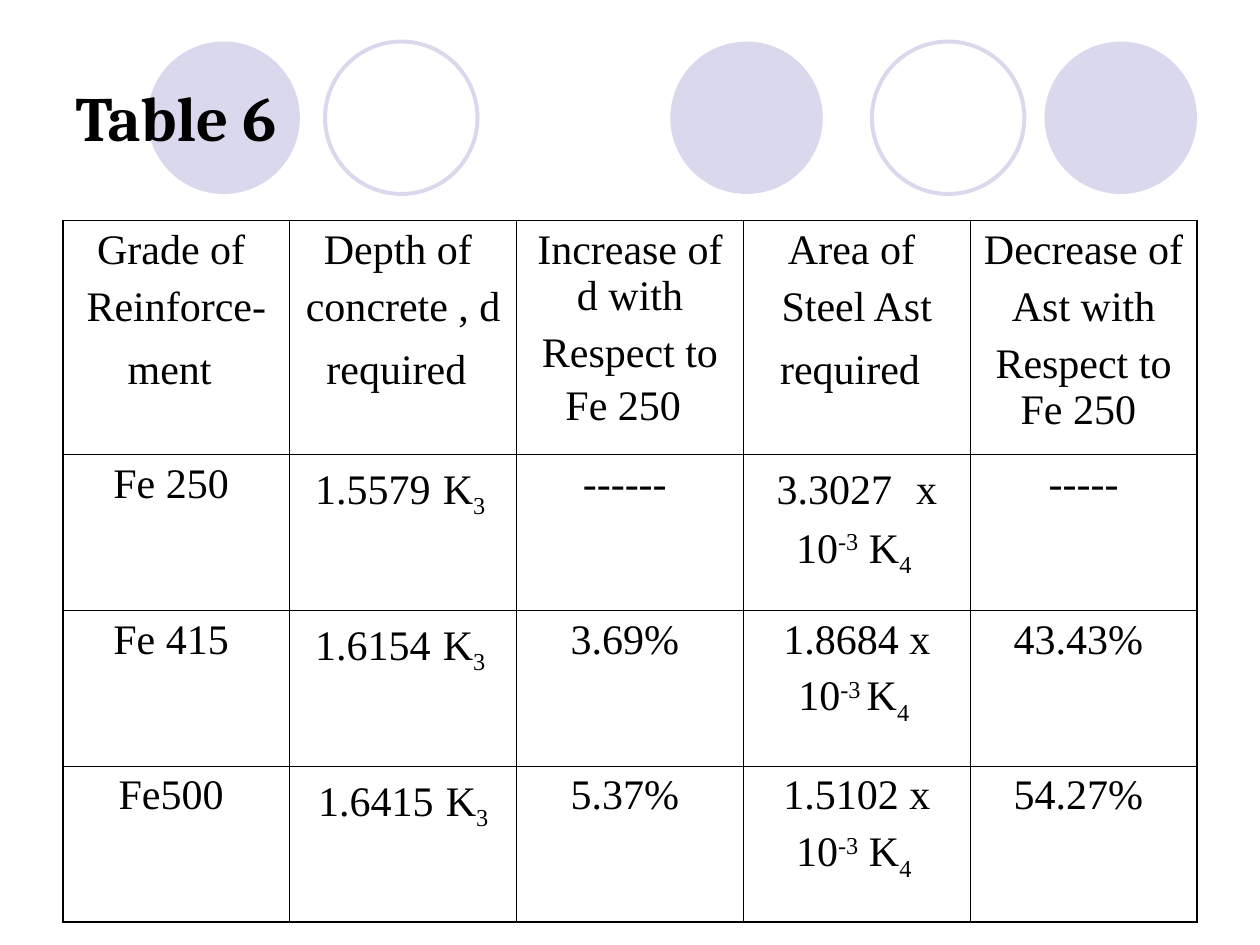
from lxml import etree
from pptx import Presentation
from pptx.dml.color import RGBColor
from pptx.enum import shapes, text
from pptx.oxml import ns
from pptx.util import Inches, Pt

BLACK = RGBColor(0x00, 0x00, 0x00)
LILAC = RGBColor(0xD9, 0xD8, 0xEC)
BODY_FONT = "Times New Roman"
OUTER, INNER = Pt(1.08), Pt(0.45)

# Circles: left edge in inches, filled or outlined
CIRCLES = [(5.32, True), (8.29, True), (1.17, True), (6.92, False), (2.58, False)]

# Spans that differ from the plain cell text
WIDE_SPACE = (" ", {"size": 28})
ARIAL_SPACE = (" ", {"size": 28, "font": "Arial"})
SUB_3 = ("3 ", {"baseline": -25})
SUB_4 = ("4 ", {"baseline": -25})
MINUS_3 = ("-3", {"baseline": 30})

# Each cell is a list of paragraphs, each paragraph a list of spans
HEADER = [
    [["Grade of "], ["Reinforce-"], ["ment", ARIAL_SPACE]],
    [["Depth of "], ["concrete , d"], ["required", ARIAL_SPACE]],
    [["Increase of d with"], ["Respect to Fe 250", ARIAL_SPACE]],
    [["Area of "], ["Steel Ast"], ["required", ARIAL_SPACE]],
    [["Decrease of"], ["Ast with"], ["Respect to Fe 250 "]],
]


def grade_row(grade, depth, increase, area, decrease,
              depth_mark=SUB_3, power=(MINUS_3, " K")):
    return [
        [[grade]],
        [[depth, WIDE_SPACE, "K", depth_mark]],
        [[increase]],
        [area, ["10", *power, SUB_4]],
        [[decrease]],
    ]


ROWS = [
    HEADER,
    grade_row("Fe 250 ", "1.5579", "------ ", ["3.3027", ARIAL_SPACE, " x"], "-----"),
    grade_row("Fe 415 ", "1.6154", "3.69% ", ["1.8684 x"], "43.43% ",
              power=(("-3 ", {"baseline": 30}), "K")),
    grade_row("Fe500 ", "1.6415", "5.37% ", ["1.5102 x"], "54.27% ",
              depth_mark=("3", {"baseline": -25})),
]


def add_span(para, words, size=24, font=BODY_FONT, bold=False, baseline=0):
    span = para.add_run()
    span.text = words
    span.font.size = Pt(size)
    span.font.name = font
    span.font.bold = bold
    span.font.color.rgb = BLACK
    if baseline:
        span.font._element.set("baseline", str(baseline * 1000))


def add_circles(page, top, size):
    for left, filled in CIRCLES:
        circle = page.shapes.add_shape(
            shapes.MSO_SHAPE.OVAL, Inches(left), top, size, size)
        circle.shadow.inherit = False
        if filled:
            circle.fill.solid()
            circle.fill.fore_color.rgb = LILAC
            circle.line.fill.background()
        else:
            circle.fill.background()
            circle.line.color.rgb = LILAC
            circle.line.width = Pt(2.25)


def place_title(page, words, left, top, width, height):
    title = page.shapes.title
    title.left, title.top, title.width, title.height = left, top, width, height
    frame = title.text_frame
    frame.vertical_anchor = text.MSO_ANCHOR.MIDDLE
    para = frame.paragraphs[0]
    para.alignment = text.PP_ALIGN.LEFT
    add_span(para, words, size=36, font="Cambria", bold=True)
    # Bring the title in front of the circles
    title.element.getparent().append(title.element)


def set_borders(cell, widths):
    properties = cell._tc.get_or_add_tcPr()
    for index, (side, width) in enumerate(widths.items()):
        line = etree.Element(ns.qn(f"a:ln{side}"), w=str(int(width)))
        fill = etree.SubElement(line, ns.qn("a:solidFill"))
        etree.SubElement(fill, ns.qn("a:srgbClr"), val=str(BLACK))
        properties.insert(index, line)


def fill_cell(cell, paragraphs):
    cell.fill.background()
    frame = cell.text_frame
    for index, spans in enumerate(paragraphs):
        para = frame.add_paragraph() if index else frame.paragraphs[0]
        para.alignment = text.PP_ALIGN.CENTER
        if index:
            para.space_before = Pt(6)
        for span in spans:
            words, options = (span, {}) if isinstance(span, str) else span
            add_span(para, words, **options)


def add_grade_table(page, left, top, width, height):
    last_row, last_column = len(ROWS) - 1, len(HEADER) - 1
    table = page.shapes.add_table(
        len(ROWS), len(HEADER), left, top, width, height).table
    table.first_row = table.horz_banding = False
    # The header is one and a half times as tall as the other rows
    row_height = int(height / (last_row + 1.5))
    for r, cells in enumerate(ROWS):
        table.rows[r].height = row_height if r else int(row_height * 1.5)
        for c, paragraphs in enumerate(cells):
            cell = table.cell(r, c)
            fill_cell(cell, paragraphs)
            set_borders(cell, {
                "L": INNER if c else OUTER,
                "R": OUTER if c == last_column else INNER,
                "T": INNER if r else OUTER,
                "B": OUTER if r == last_row else INNER,
            })


def main():
    deck = Presentation()
    deck.slide_width, deck.slide_height = Inches(10), Inches(7.5)
    page = deck.slides.add_slide(deck.slide_layouts[5])
    add_circles(page, Inches(0.33), Inches(1.21))
    place_title(page, "Table 6", Inches(0.5), Inches(0.3), Inches(9), Inches(1.25))
    add_grade_table(page, Inches(0.5), Inches(1.75), Inches(9), Inches(5.57))
    deck.save("out.pptx")


if __name__ == "__main__":
    main()
